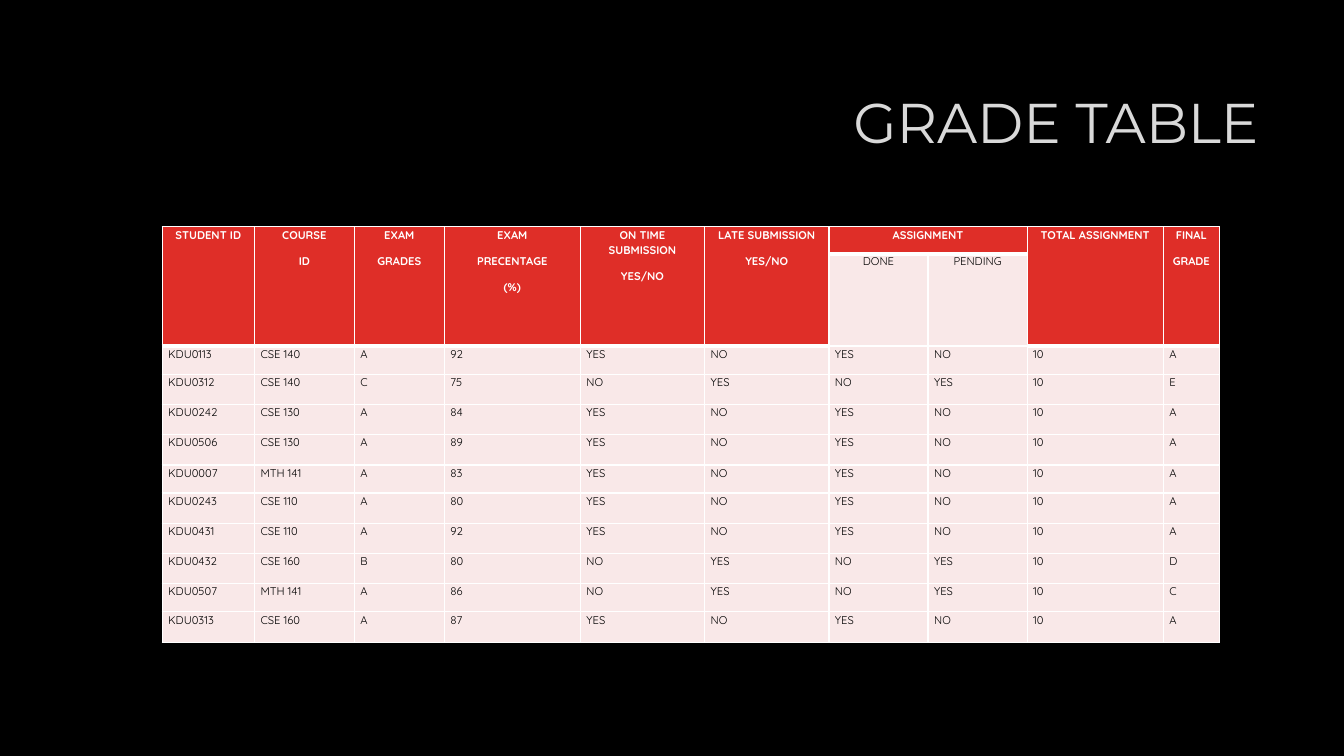
from lxml.etree import SubElement
from pptx import Presentation
from pptx.dml.color import RGBColor
from pptx.enum.text import MSO_ANCHOR as Anchor, PP_ALIGN as Align
from pptx.oxml import parse_xml
from pptx.oxml.ns import qn
from pptx.util import Emu, Inches, Pt

BLACK = RGBColor(0x00, 0x00, 0x00)
WHITE = RGBColor(0xFF, 0xFF, 0xFF)
GREY = RGBColor(0xD9, 0xD9, 0xD9)
RED = RGBColor(0xDF, 0x2E, 0x28)
PINK = RGBColor(0xF9, 0xE8, 0xE8)

COLS, ROWS = 160, 90  # slide grid
HEAD_ROWS = 2
SPLIT = (6, 7)  # columns under ASSIGNMENT

WIDTHS = [11, 11.9, 10.7, 16.2, 14.8, 14.8, 11.8, 11.8, 16.2, 6.7]
SHORT, TALL = 3.35, 3.6
HEIGHTS = [3.2, 11] + [SHORT, TALL, TALL, TALL] * 2 + [SHORT, TALL]

HEADS = {
    0: ["STUDENT ID"],
    1: ["COURSE", "ID"],
    2: ["EXAM", "GRADES"],
    3: ["EXAM", "PRECENTAGE", "(%)"],
    4: ["ON TIME SUBMISSION", "YES/NO"],
    5: ["LATE SUBMISSION", "YES/NO"],
    6: ["ASSIGNMENT"],
    8: ["TOTAL ASSIGNMENT"],
    9: ["FINAL", "GRADE"],
}

# student, course, exam grade, exam percentage, on time, final grade
MARKS = [
    ("KDU0113", "CSE 140", "A", "92", "YES", "A"),
    ("KDU0312", "CSE 140", "C", "75", "NO", "E"),
    ("KDU0242", "CSE 130", "A", "84", "YES", "A"),
    ("KDU0506", "CSE 130", "A", "89", "YES", "A"),
    ("KDU0007", "MTH 141", "A", "83", "YES", "A"),
    ("KDU0243", "CSE 110", "A", "80", "YES", "A"),
    ("KDU0431", "CSE 110", "A", "92", "YES", "A"),
    ("KDU0432", "CSE 160", "B", "80", "NO", "D"),
    ("KDU0507", "MTH 141", "A", "86", "NO", "C"),
    ("KDU0313", "CSE 160", "A", "87", "YES", "A"),
]


class Deck:
    title_font = "Montserrat"
    body_font = "Quicksand"

    def __init__(self):
        self.prs = Presentation()
        self.prs.slide_width = Inches(13.33)
        self.prs.slide_height = Inches(7.5)
        self.slide = self.prs.slides.add_slide(self.prs.slide_layouts[6])
        fill = self.slide.background.fill
        fill.solid()
        fill.fore_color.rgb = BLACK

    def x(self, cols):
        return Emu(round(self.prs.slide_width * cols / COLS))

    def y(self, rows):
        return Emu(round(self.prs.slide_height * rows / ROWS))

    def style(self, para, name, size, color, bold=False):
        font = para.font
        font.name, font.size, font.bold = name, Pt(size), bold
        font.color.rgb = color

    def line(self, parent, tag, width):
        """Add a solid white line element to the parent."""
        ln = SubElement(parent, qn(tag), w=str(Pt(width)))
        fill = SubElement(ln, qn("a:solidFill"))
        SubElement(fill, qn("a:srgbClr"), val=str(WHITE))

    def title(self, text, left, top, width, height):
        box = self.slide.shapes.add_textbox(
            self.x(left), self.y(top), self.x(width), self.y(height))
        frame = box.text_frame
        frame.word_wrap = True
        frame.vertical_anchor = Anchor.TOP
        frame.margin_top = Inches(0.1)
        para = frame.paragraphs[0]
        para.alignment, para.line_spacing = Align.RIGHT, 0.9
        run = para.add_run()
        run.text = text
        self.line(run.font._element, "a:ln", 0.75)
        self.style(para, self.title_font, 40, GREY)

    def table(self, left, top):
        shape = self.slide.shapes.add_table(
            len(HEIGHTS), len(WIDTHS), self.x(left), self.y(top),
            self.x(sum(WIDTHS)), self.y(sum(HEIGHTS)))
        grid = shape.table
        grid.first_row = grid.horz_banding = False
        for col, width in zip(grid.columns, WIDTHS):
            col.width = self.x(width)
        for row, height in zip(grid.rows, HEIGHTS):
            row.height = self.y(height)
        return grid

    def cell(self, cell, texts, head=False, center=False, top=1, bottom=1):
        cell.fill.background()
        props = cell._tc.get_or_add_tcPr()
        props.clear()
        for side, width in zip("LRTB", (1, 1, top, bottom)):
            self.line(props, f"a:ln{side}", width)
        cell.fill.solid()
        cell.fill.fore_color.rgb = RED if head else PINK
        cell.margin_left = cell.margin_right = Inches(0.06)
        cell.margin_top = cell.margin_bottom = 0
        cell.text = "\n".join(texts)
        for para in cell.text_frame.paragraphs:
            para.alignment = Align.CENTER if center else Align.LEFT
            para.line_spacing, para.space_after = 1.07, Pt(8)
            self.style(para, self.body_font, 8, WHITE if head else BLACK, head)


def fill_heads(deck, grid):
    for col in range(len(WIDTHS)):
        for row in range(HEAD_ROWS):
            if row and col in SPLIT:
                text = ("DONE", "PENDING")[SPLIT.index(col)]
                deck.cell(grid.cell(row, col), [text], center=True, top=3)
            else:
                texts = [] if row else HEADS.get(col, [])
                deck.cell(grid.cell(row, col), texts, True, True, bottom=3)
        if col not in SPLIT:
            grid.cell(0, col).merge(grid.cell(1, col))
    grid.cell(0, SPLIT[0]).merge(grid.cell(0, SPLIT[1]))


def fill_marks(deck, grid):
    for row, (*exam, timely, final) in enumerate(MARKS, HEAD_ROWS):
        late = "NO" if timely == "YES" else "YES"
        values = [*exam, timely, late, timely, late, "10", final]
        for col, text in enumerate(values):
            top = 3 if row == HEAD_ROWS and col not in SPLIT else 1
            deck.cell(grid.cell(row, col), [text], top=top)


def main():
    deck = Deck()
    deck.title("GRADE TABLE", 38, 10.1, 113, 16.9)
    grid = deck.table(19.3, 27)
    fill_heads(deck, grid)
    fill_marks(deck, grid)
    deck.prs.save("out.pptx")


if __name__ == "__main__":
    main()
